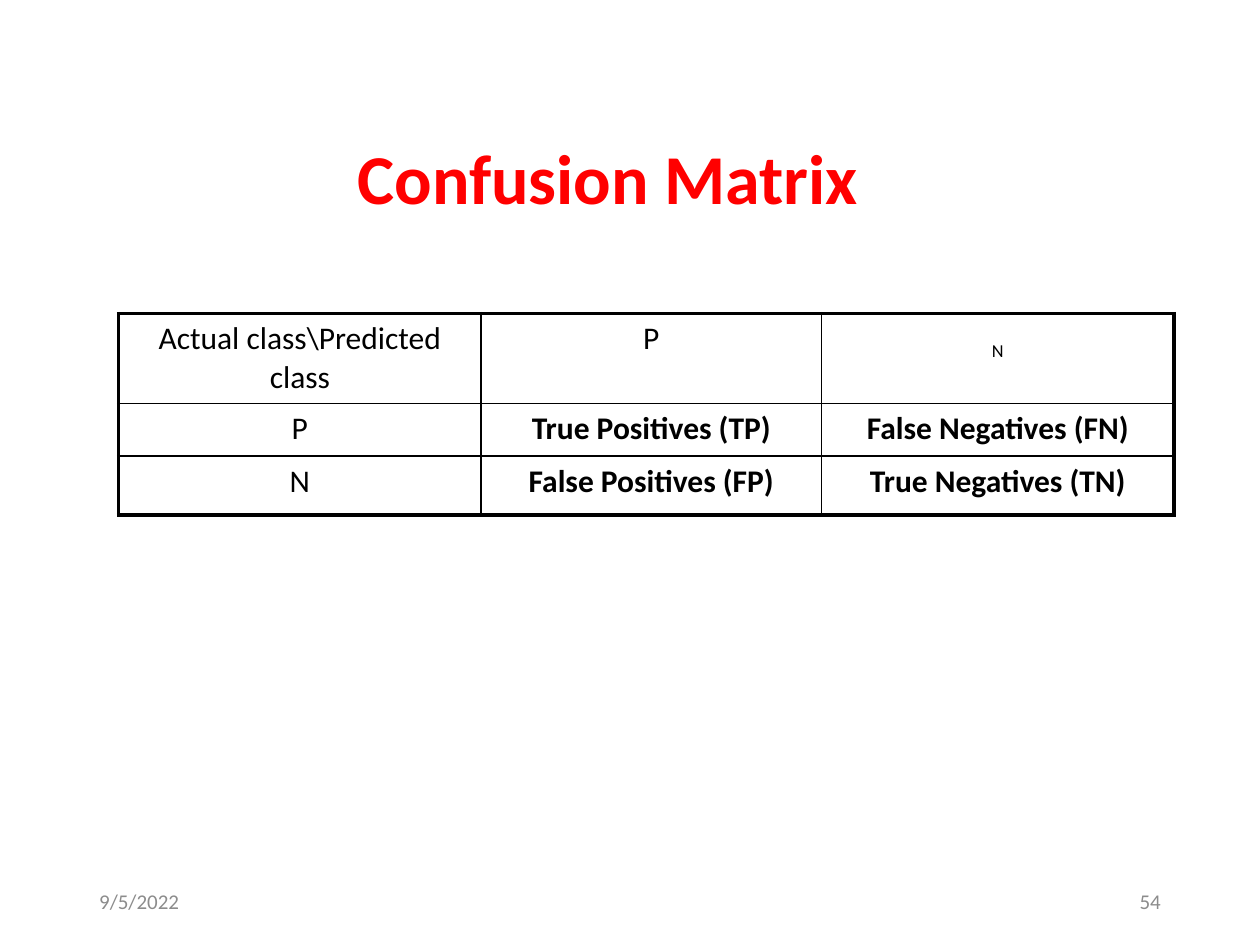
from lxml.etree import SubElement
from pptx import Presentation
from pptx.dml.color import RGBColor
from pptx.enum.text import MSO_ANCHOR, PP_ALIGN
from pptx.oxml.ns import qn
from pptx.util import Cm, Pt


def add_run(p, text, size, color, bold=False):
    r = p.add_run()
    r.text = text
    r.font.name = "Calibri"
    r.font.size = Pt(size)
    r.font.bold = bold
    r.font.color.rgb = RGBColor.from_string(color)
    return r


def add_border(cell, side, width):
    ln = SubElement(cell._tc.get_or_add_tcPr(), qn(f"a:ln{side}"), w=str(Pt(width)))
    fill = SubElement(ln, qn("a:solidFill"))
    SubElement(fill, qn("a:srgbClr"), val="000000")


prs = Presentation()
prs.slide_width = Cm(25.4)
prs.slide_height = Cm(19.05)
s = prs.slides.add_slide(prs.slide_layouts[6])

texts = [
    ("9/5/2022", 1.75, 17.65, 5.72, 1.02, 12, "8C8C8C", PP_ALIGN.LEFT, MSO_ANCHOR.MIDDLE),
    ("54", 17.93, 17.65, 5.72, 1.02, 12, "8C8C8C", PP_ALIGN.RIGHT, MSO_ANCHOR.MIDDLE),
    ("Confusion Matrix", 5.92, 2.59, 12.67, 1.96, 40, "FF0000", PP_ALIGN.CENTER, MSO_ANCHOR.TOP),
]
for text, x, y, w, h, size, color, align, anchor in texts:
    sp = s.shapes.add_textbox(Cm(x), Cm(y), Cm(w), Cm(h))
    tf = sp.text_frame
    tf.word_wrap = True
    tf.vertical_anchor = anchor
    p = tf.paragraphs[0]
    p.alignment = align
    add_run(p, text, size, color, bold=size == 40)

rows = [
    ["Actual class\\Predicted class", "P", "N"],
    ["P", "True Positives (TP)", "False Negatives (FN)"],
    ["N", "False Positives (FP)", "True Negatives (TN)"],
]
widths = [7.31, 6.86, 7.11]
heights = [1.81, 1.06, 1.19]
table = s.shapes.add_table(3, 3, Cm(2.39), Cm(6.32), Cm(sum(widths)), Cm(sum(heights))).table
table.first_row = False
table.horz_banding = False
for col, width in zip(table.columns, widths):
    col.width = Cm(width)
for row, height in zip(table.rows, heights):
    row.height = Cm(height)

for i, row in enumerate(rows):
    for j, text in enumerate(row):
        cell = table.cell(i, j)
        p = cell.text_frame.paragraphs[0]
        p.alignment = PP_ALIGN.CENTER
        r = add_run(p, text, 18, "000000", bold=i > 0 and j > 0)
        if (i, j) == (0, 2):
            r.font._element.set("baseline", "-25000")
        outer = {"L": j == 0, "R": j == 2, "T": i == 0, "B": i == 2}
        for side, is_outer in outer.items():
            add_border(cell, side, 2.25 if is_outer else 1)
        cell.fill.background()

prs.save("out.pptx")
